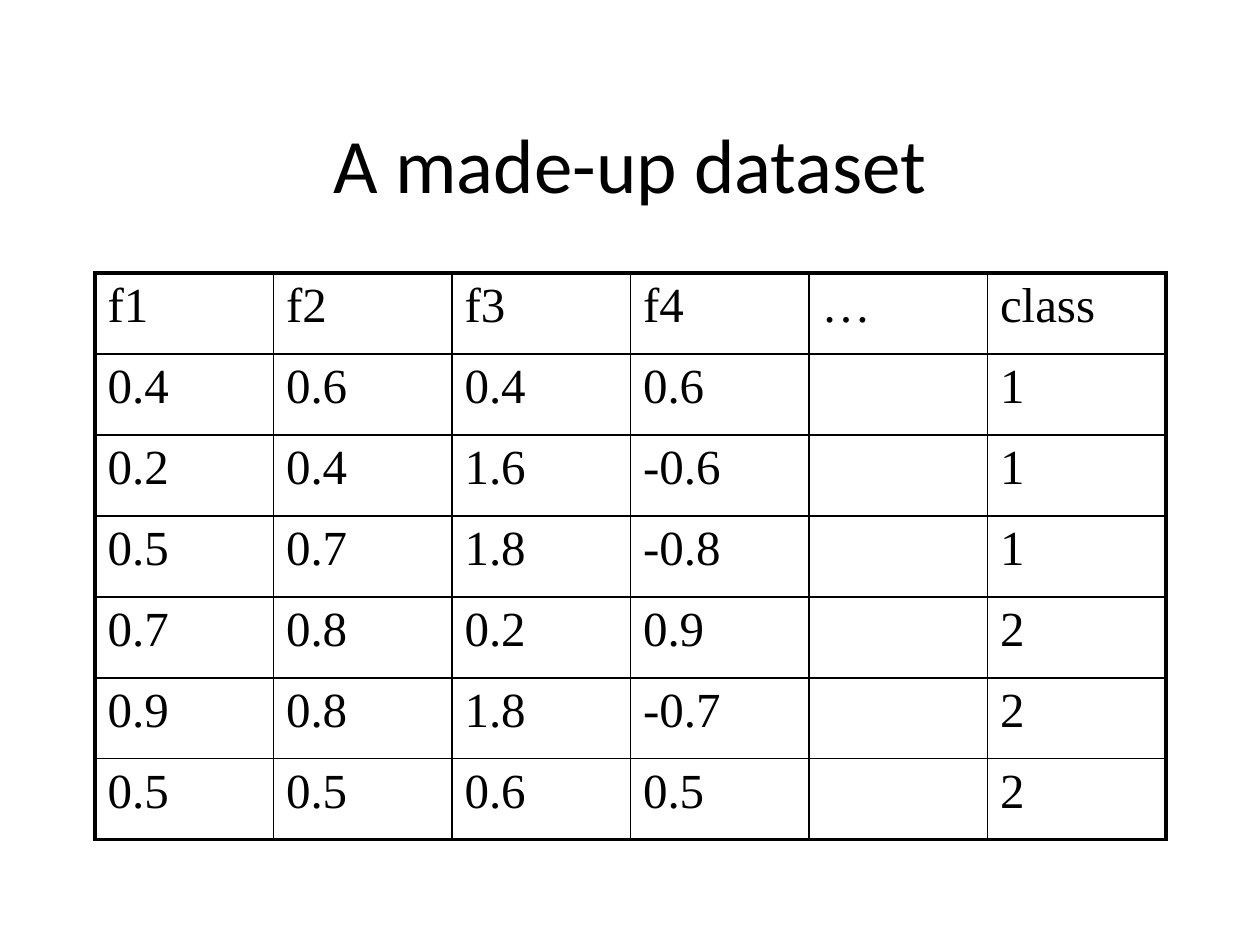
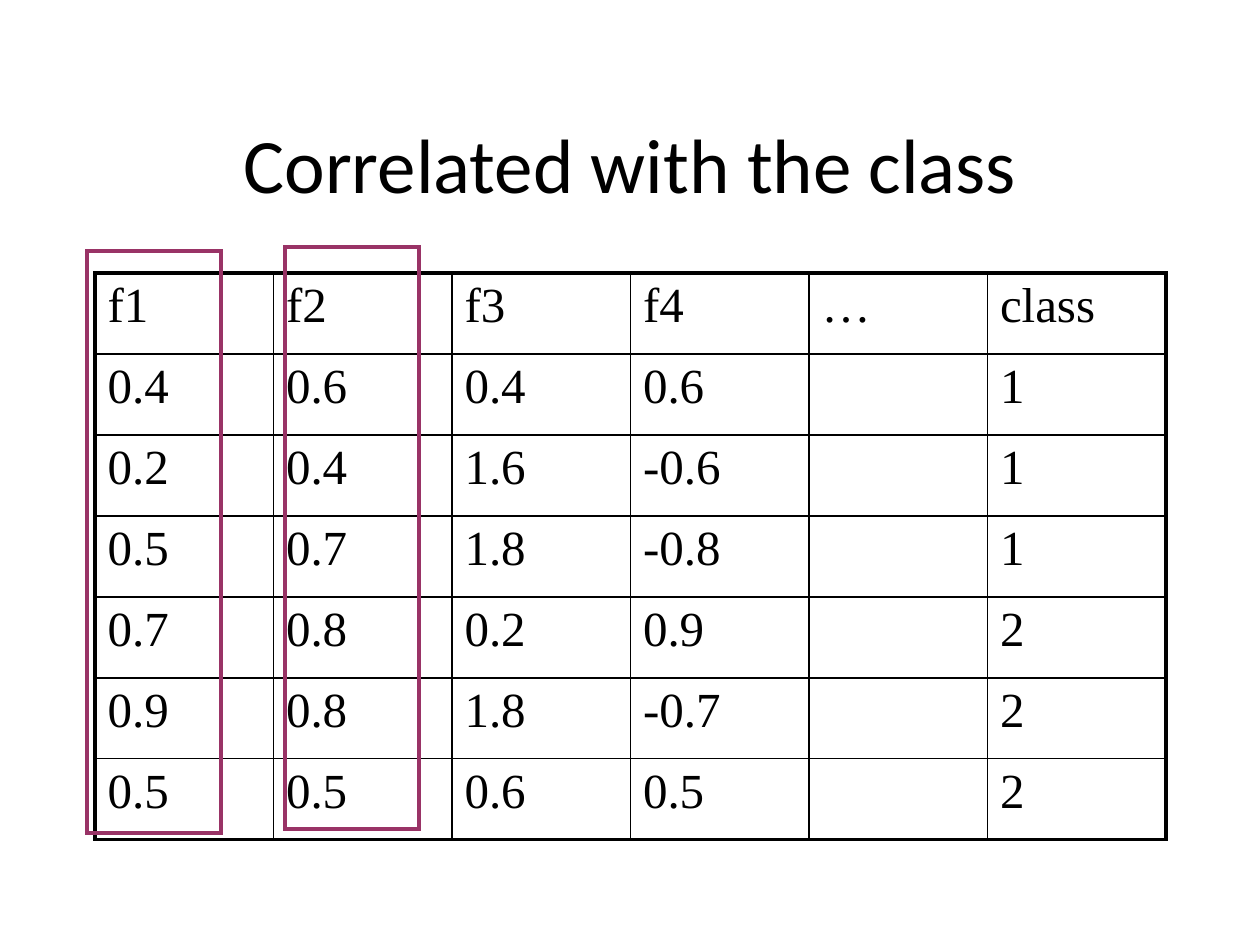
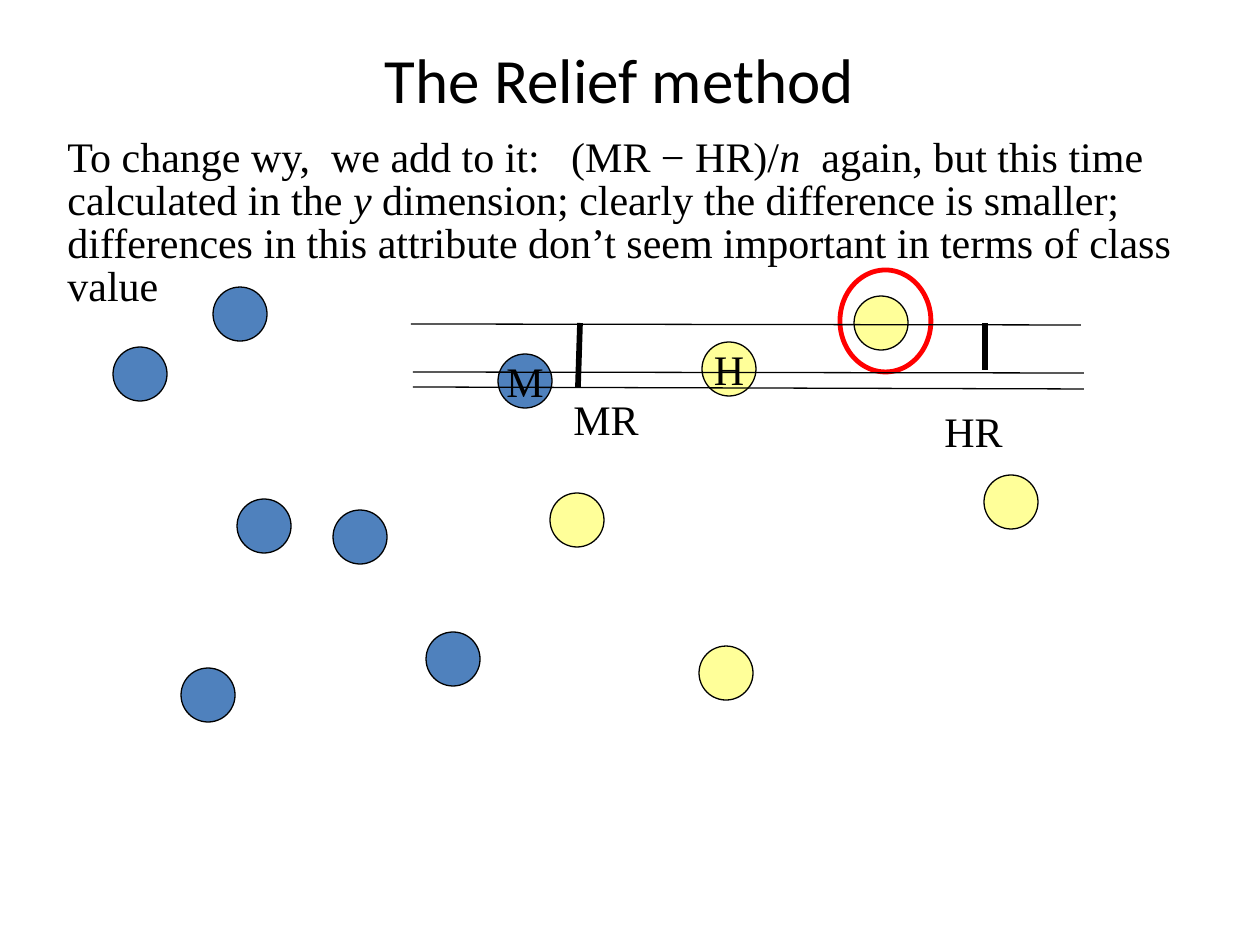
from typing import NamedTuple

from lxml import etree
from pptx import Presentation
from pptx.dml.color import RGBColor
from pptx.enum.shapes import MSO_CONNECTOR, MSO_SHAPE
from pptx.enum.text import MSO_ANCHOR as Anchor, MSO_AUTO_SIZE as AutoSize, PP_ALIGN as Align
from pptx.oxml.ns import qn
from pptx.util import Emu, Pt

PX_PER_INCH = 126
BLACK, RED, PLUM = "000000", "FF0000", "993366"
BLUE, YELLOW = "4F81BD", "FFFF99"
TITLE_FONT, BODY_FONT = "Calibri", "Times New Roman"
THIN, THICK = 1, 2.25

DATASET = [
    ["f1", "f2", "f3", "f4", "…", "class"],
    ["0.4", "0.6", "0.4", "0.6", "", "1"],
    ["0.2", "0.4", "1.6", "-0.6", "", "1"],
    ["0.5", "0.7", "1.8", "-0.8", "", "1"],
    ["0.7", "0.8", "0.2", "0.9", "", "2"],
    ["0.9", "0.8", "1.8", "-0.7", "", "2"],
    ["0.5", "0.5", "0.6", "0.5", "", "2"],
]

EXPLANATION = [
    ("To change wy,  we add to it:   (MR − HR)/", False),
    ("n", True),
    ("  again, but this time calculated in the ", False),
    ("y ", True),
    ("dimension; clearly the difference is smaller; differences in this "
     "attribute don’t seem important in terms of class value", False),
]

INSTANCE_SIZE = 54
# left, top, class colour, label
INSTANCES = [
    (0, 77, BLUE, ""), (100, 17, BLUE, ""), (220, 240, BLUE, ""),
    (385, 84, BLUE, "M"), (586, 376, YELLOW, ""), (68, 398, BLUE, ""),
    (589, 72, YELLOW, "H"), (871, 205, YELLOW, ""), (313, 362, BLUE, ""),
    (741, 26, YELLOW, ""), (124, 229, BLUE, ""), (437, 223, YELLOW, ""),
]
# start x, start y, end x, end y
LEVELS = [(298, 54, 968, 55), (300, 102, 971, 103), (300, 117, 971, 119)]
DISTANCES = [(872, 100, 872, 53), (467, 53, 465, 117)]


class Box(NamedTuple):
    left: int
    top: int
    width: int
    height: int

    def inner(self, left, top, width, height):
        """Return a box whose place is given relative to this one."""
        return Box(self.left + left, self.top + top, width, height)


TITLE_BOX = Box(95, 84, 1071, 158)
TABLE_BOX = Box(95, 273, 1071, 567)
METHOD_TITLE_BOX = Box(84, 48, 1071, 60)
EXPLANATION_BOX = Box(55, 132, 1168, 185)
DIAGRAM_BOX = Box(113, 270, 971, 452)


def px(length):
    return Emu(round(length * 914400 / PX_PER_INCH))


def emu(box):
    return [px(length) for length in box]


def rgb(color):
    return RGBColor.from_string(color)


def write(frame, text, size=24, font=BODY_FONT, align=None, anchor=None,
          wrap=True, spacing=None, grow=False):
    """Fill a frame with one paragraph; text is a string or (text, italic) runs."""
    frame.word_wrap = wrap
    frame.vertical_anchor = anchor
    if grow:
        frame.auto_size = AutoSize.SHAPE_TO_FIT_TEXT
    paragraph = frame.paragraphs[0]
    paragraph.alignment = align
    paragraph.line_spacing = spacing
    for words, italic in [(text, False)] if isinstance(text, str) else text:
        run = paragraph.add_run()
        run.text = words
        run.font.size = Pt(size)
        run.font.name = font
        run.font.italic = italic
        run.font.color.rgb = rgb(BLACK)


def add_text(slide, box, text, **text_format):
    write(slide.shapes.add_textbox(*emu(box)).text_frame, text, **text_format)


def add_title(slide, box, text, size=44):
    add_text(slide, box, text, size=size, font=TITLE_FONT,
             align=Align.CENTER, anchor=Anchor.MIDDLE)


def add_outline(slide, preset, box, color, weight, fill=None):
    """Add a shape with a sharp-cornered outline and an optional fill."""
    shape = slide.shapes.add_shape(preset, *emu(box))
    shape.shadow.inherit = False
    if fill:
        shape.fill.solid()
        shape.fill.fore_color.rgb = rgb(fill)
    else:
        shape.fill.background()
    shape.line.color.rgb = rgb(color)
    shape.line.width = Pt(weight)
    etree.SubElement(shape._element.spPr.find(qn("a:ln")), qn("a:miter"), lim="800000")
    return shape


def add_line(slide, box, ends, weight):
    start_x, start_y, end_x, end_y = ends
    line = slide.shapes.add_connector(
        MSO_CONNECTOR.STRAIGHT,
        px(box.left + start_x), px(box.top + start_y),
        px(box.left + end_x), px(box.top + end_y))
    line.line.color.rgb = rgb(BLACK)
    line.line.width = Pt(weight)
    etree.SubElement(line._element.spPr, qn("a:effectLst"))


def set_borders(cell, weights):
    """Draw the left, right, top and bottom borders in the given weights."""
    properties = cell._tc.get_or_add_tcPr()
    for side, weight in zip("LRTB", weights):
        border = etree.SubElement(properties, qn(f"a:ln{side}"), w=str(Pt(weight)))
        fill = etree.SubElement(border, qn("a:solidFill"))
        etree.SubElement(fill, qn("a:srgbClr"), val=BLACK)


def add_dataset(slide, box):
    row_count, column_count = len(DATASET), len(DATASET[0])
    table = slide.shapes.add_table(row_count, column_count, *emu(box)).table
    table.first_row = table.horz_banding = False
    for column in table.columns:
        column.width = px(box.width / column_count)
    for row in table.rows:
        row.height = px(box.height / row_count)
    for r, values in enumerate(DATASET):
        for c, value in enumerate(values):
            cell = table.cell(r, c)
            on_edge = (c == 0, c == column_count - 1, r == 0, r == row_count - 1)
            set_borders(cell, [THICK if edge else THIN for edge in on_edge])
            cell.fill.background()
            if value:
                write(cell.text_frame, value, size=28)


def add_column_highlights(slide, box):
    for left, top in [(-8, -22), (190, -26)]:
        add_outline(slide, MSO_SHAPE.RECTANGLE, box.inner(left, top, 134, 582), PLUM, 2.5)


def add_relief_diagram(slide, box):
    for left, top, color, label in INSTANCES:
        instance = add_outline(
            slide, MSO_SHAPE.OVAL, box.inner(left, top, INSTANCE_SIZE, INSTANCE_SIZE),
            BLACK, 0.75, fill=color)
        if label:
            write(instance.text_frame, label, align=Align.CENTER,
                  anchor=Anchor.MIDDLE, wrap=False)
    add_outline(slide, MSO_SHAPE.OVAL, box.inner(727, 0, 91, 102), RED, 2.75)
    for ends in DISTANCES:
        add_line(slide, box, ends, 3.25)
    for ends in LEVELS:
        add_line(slide, box, ends, 0.75)
    add_text(slide, box.inner(819, 129, 88, 63), "HR", wrap=False, grow=True)
    add_text(slide, box.inner(448, 117, 93, 63), "MR", wrap=False, grow=True)


def build_dataset_slide(slide, title):
    add_title(slide, TITLE_BOX, title)
    add_dataset(slide, TABLE_BOX)


def build_relief_slide(slide):
    add_title(slide, METHOD_TITLE_BOX, "The Relief method", size=36)
    add_text(slide, EXPLANATION_BOX, EXPLANATION, spacing=0.85, grow=True)
    add_relief_diagram(slide, DIAGRAM_BOX)


def main():
    deck = Presentation()
    deck.slide_width, deck.slide_height = px(1260), px(945)
    blank = deck.slide_layouts[6]
    dataset, correlated, relief = [deck.slides.add_slide(blank) for _ in range(3)]
    build_dataset_slide(dataset, "A made-up dataset")
    build_dataset_slide(correlated, "Correlated with the class")
    add_column_highlights(correlated, TABLE_BOX)
    build_relief_slide(relief)
    deck.save("out.pptx")


if __name__ == "__main__":
    main()
